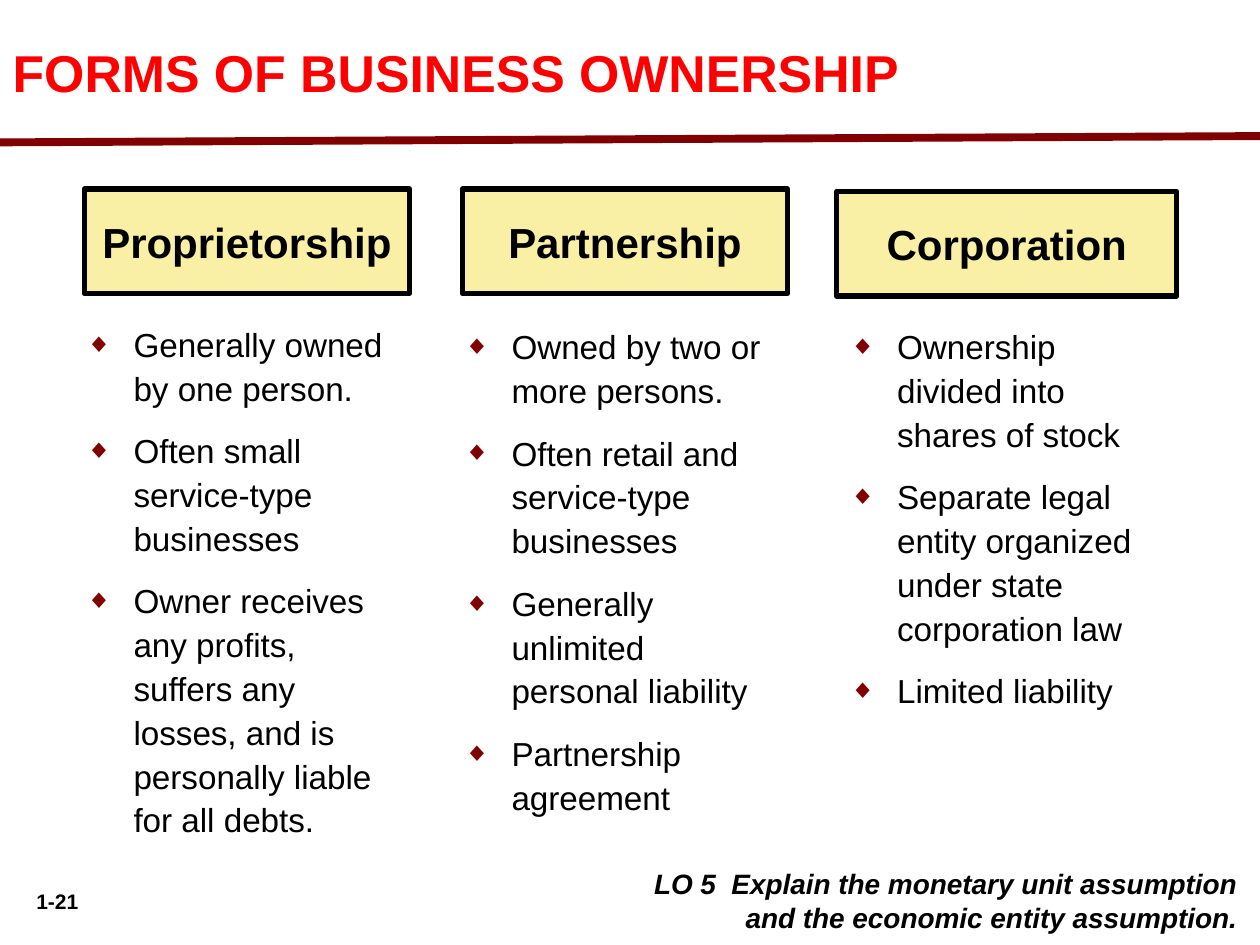
from lxml import etree
from pptx import Presentation, util as u
from pptx.dml.color import RGBColor
from pptx.enum import shapes, text
from pptx.oxml import ns

TITLE = "FORMS OF BUSINESS OWNERSHIP"
OBJECTIVE = "LO 5  Explain the monetary unit assumption and the economic entity assumption."
PAGE_NUMBER = "1-21"
FORMS = [
    {"name": "Proprietorship", "heading": (0.67, 1.5, 2.58, 0.83),
     "list": (0.58, 2.42, 2.69, 4.42), "placeholder": 1,
     "points": ["Generally owned by one person.",
                "Often small service-type businesses",
                "Owner receives any profits, suffers any losses, "
                "and is personally liable for all debts."]},
    {"name": "Partnership", "heading": (3.67, 1.5, 2.58, 0.83),
     "list": (3.58, 2.44, 2.69, 4.39), "placeholder": 2,
     "points": ["Owned by two or more persons.",
                "Often retail and service-type businesses",
                "Generally unlimited personal liability",
                "Partnership agreement"]},
    {"name": "Corporation", "heading": (6.64, 1.52, 2.7, 0.83),
     "list": (6.64, 2.44, 2.69, 4.4), "placeholder": 4,
     "points": ["Ownership divided into shares of stock",
                "Separate legal entity organized under state corporation law",
                "Limited liability"]},
]
BLACK, MAROON, RED, CREAM, WHITE = "000000", "800000", "FF0000", "F9EFA5", "FFFFFF"


def paint(target, color):
    """Give a fill or line format a solid colour."""
    target.solid()
    target.fore_color.rgb = RGBColor.from_string(color)


def place(box, area):
    """Move and size a shape to an area in inches."""
    box.left, box.top, box.width, box.height = map(u.Inches, area)


def add_bullet(para):
    """Give a paragraph a small maroon diamond bullet."""
    props = para._p.get_or_add_pPr()
    color = etree.SubElement(props, ns.qn("a:buClr"))
    etree.SubElement(color, ns.qn("a:srgbClr"), val=MAROON)
    etree.SubElement(props, ns.qn("a:buSzPct"), val="80000")
    etree.SubElement(props, ns.qn("a:buChar"), char="◆")


def write(box, lines, size, color=BLACK, bold=True, italic=False, align="LEFT",
          anchor="TOP", inset_top=0.05, spacing=1.0, before=0, hang=0, bullet=False):
    """Fill a shape with formatted paragraphs."""
    frame = box.text_frame
    frame.word_wrap = True
    frame.auto_size = text.MSO_AUTO_SIZE.NONE
    frame.vertical_anchor = text.MSO_ANCHOR[anchor]
    frame.margin_left = frame.margin_right = u.Inches(0.1)
    frame.margin_top, frame.margin_bottom = u.Inches(inset_top), u.Inches(0.05)
    for index, line in enumerate(lines):
        para = frame.add_paragraph() if index else frame.paragraphs[0]
        if bullet:
            add_bullet(para)
        if hang:
            props = para._p.get_or_add_pPr()
            props.set("marL", str(u.Inches(hang)))
            props.set("indent", str(-u.Inches(hang)))
        para.alignment = text.PP_ALIGN[align]
        para.line_spacing = spacing
        para.space_before = u.Pt(before if index else 0)
        span = para.add_run()
        span.text = line
        span.font.name, span.font.size = "Arial", u.Pt(size)
        span.font.bold, span.font.italic = bold, italic
        span.font.color.rgb = RGBColor.from_string(color)


def add_box(page, area, fill, border=None):
    """Add a flat rectangle with an optional border colour."""
    box = page.shapes.add_shape(shapes.MSO_SHAPE.RECTANGLE, *map(u.Inches, area))
    box.shadow.inherit = False
    paint(box.fill, fill)
    if border:
        paint(box.line.fill, border)
        box.line.width = u.Pt(3)
    else:
        box.line.fill.background()
    return box


def add_rule(page, start, end):
    """Add the maroon rule under the title."""
    rule = page.shapes.add_connector(shapes.MSO_CONNECTOR.STRAIGHT,
                                     *map(u.Inches, start + end))
    paint(rule.line.fill, MAROON)
    rule.line.width = u.Pt(4.5)
    etree.SubElement(rule._element.spPr, ns.qn("a:effectLst"))


def main():
    """Build and save the slide."""
    deck = Presentation()
    deck.slide_width, deck.slide_height = u.Inches(10), u.Inches(7.5)
    page = deck.slides.add_slide(deck.slide_layouts.get_by_name("Comparison"))
    holders = {holder.placeholder_format.idx: holder for holder in page.placeholders}

    place(holders[0], (0, 0.33, 9.42, 0.61))
    write(holders[0], [TITLE], 29.6, color=RED, spacing=0.9)
    add_rule(page, (0, 1.13), (10, 1.08))

    for form in FORMS:
        heading = add_box(page, form["heading"], CREAM, BLACK)
        write(heading, [form["name"]], 24, align="CENTER", anchor="MIDDLE")
        body = holders[form["placeholder"]]
        place(body, form["list"])
        write(body, form["points"], 19, bold=False, inset_top=0.12,
              spacing=1.1, before=10.6, hang=0.38, bullet=True)

    unused = holders[3]._element
    unused.getparent().remove(unused)

    objective = add_box(page, (4.75, 6.83, 5.17, 0.64), WHITE)
    write(objective, [OBJECTIVE], 16, italic=True, align="RIGHT", hang=0.5)
    number = page.shapes.add_textbox(*map(u.Inches, (0.08, 7, 0.75, 0.3)))
    write(number, [PAGE_NUMBER], 12, align="CENTER")
    deck.save("out.pptx")


if __name__ == "__main__":
    main()
